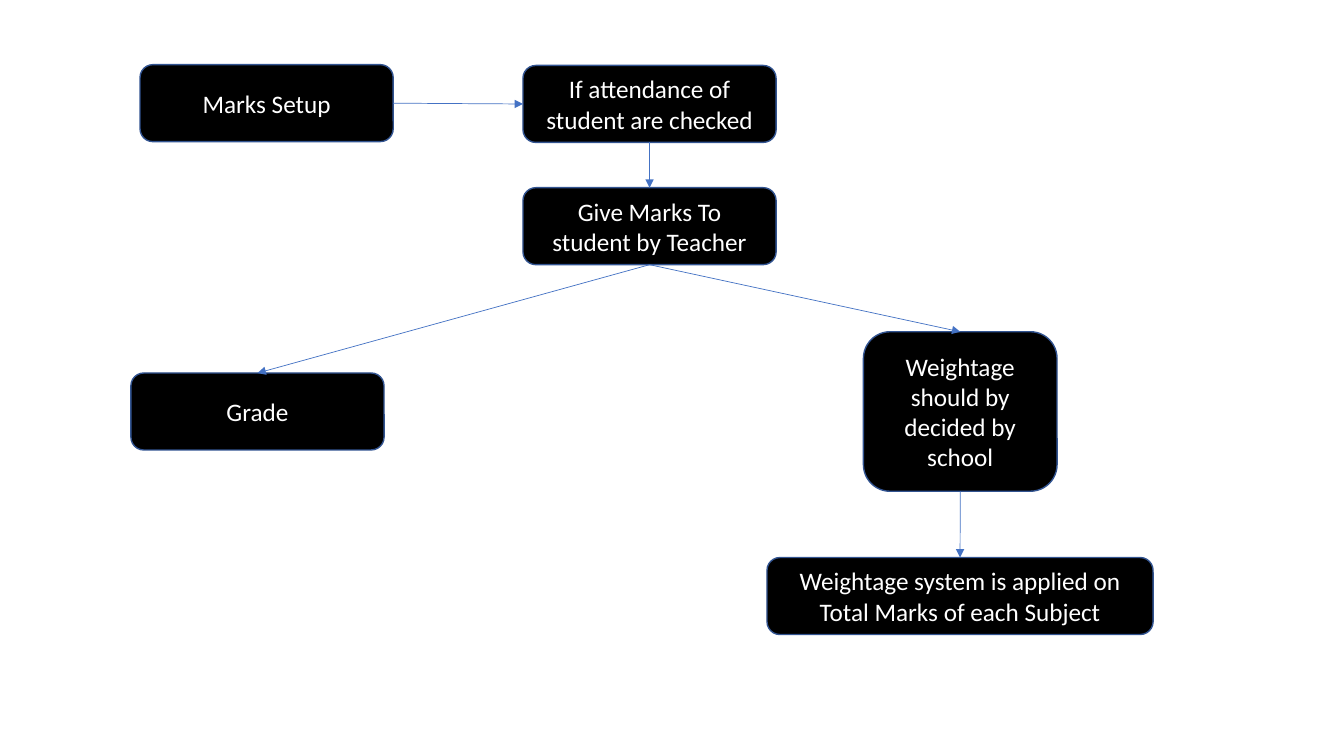
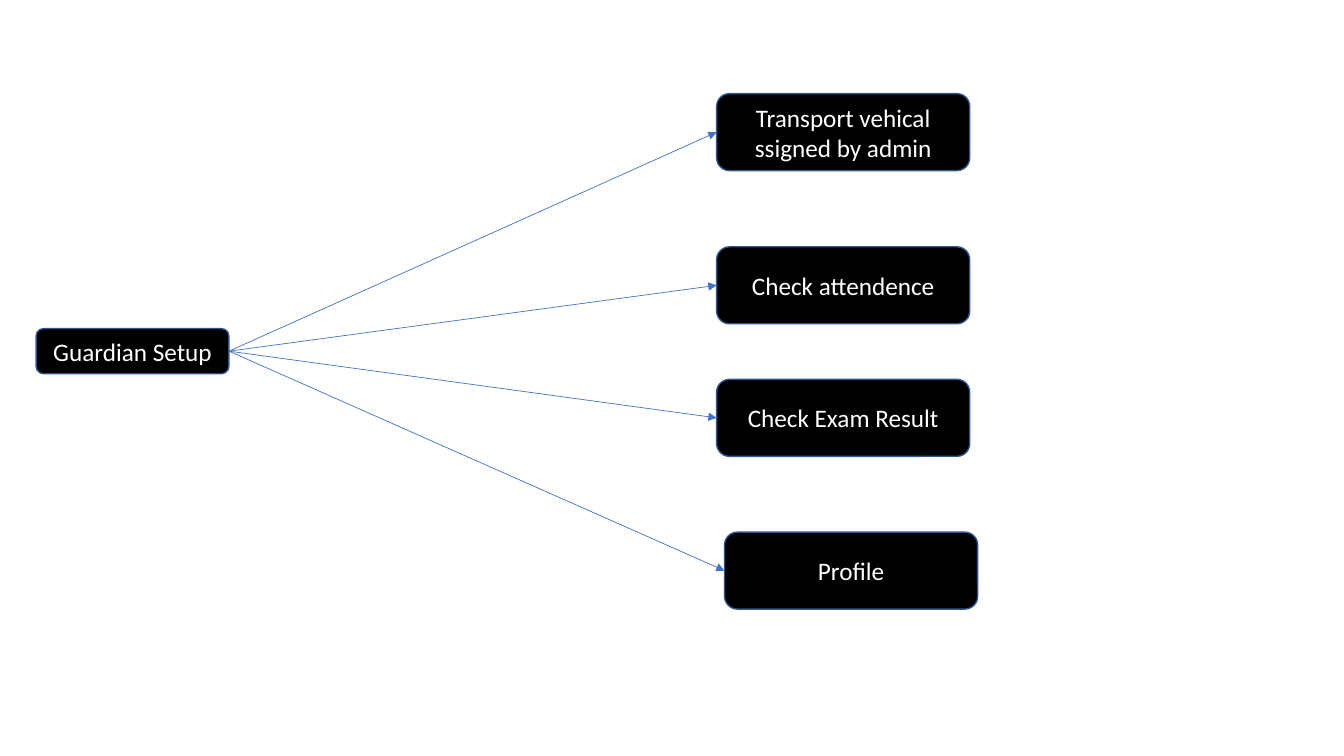
"""Build two flowchart slides on marks setup and guardian setup."""
from dataclasses import dataclass

from lxml import etree
from pptx import Presentation
from pptx.dml.color import RGBColor
from pptx.enum.shapes import MSO_CONNECTOR, MSO_SHAPE
from pptx.enum.text import MSO_ANCHOR, PP_ALIGN
from pptx.oxml.ns import qn
from pptx.shapes.autoshape import Shape
from pptx.slide import Slide
from pptx.util import Cm, Pt

ROUNDED = MSO_SHAPE.ROUNDED_RECTANGLE
STRAIGHT = MSO_CONNECTOR.STRAIGHT
CENTER = PP_ALIGN.CENTER
MIDDLE = MSO_ANCHOR.MIDDLE
TOP, LEFT, BOTTOM, RIGHT = range(4)
BLANK_LAYOUT = 6


@dataclass(frozen=True)
class Theme:
    box_fill: RGBColor = RGBColor(0x00, 0x00, 0x00)
    box_line: RGBColor = RGBColor(0x32, 0x54, 0x91)
    text: RGBColor = RGBColor(0xFF, 0xFF, 0xFF)
    arrow: RGBColor = RGBColor(0x44, 0x72, 0xC4)
    font: str = "Calibri"
    text_size: Pt = Pt(18)
    box_line_width: Pt = Pt(1)
    arrow_width: Pt = Pt(0.5)


THEME = Theme()


@dataclass(frozen=True)
class Box:
    text: str
    left: float
    top: float
    width: float = 6.38
    height: float = 1.94


@dataclass(frozen=True)
class Arrow:
    source: str
    source_side: int
    target: str
    target_side: int


@dataclass(frozen=True)
class Flowchart:
    boxes: dict[str, Box]
    arrows: list[Arrow]


MARKS = Flowchart(
    boxes={
        "setup": Box("Marks Setup", 3.53, 1.63),
        "attendance": Box("If attendance of student are checked", 13.18, 1.65),
        "grade": Box("Grade", 3.3, 9.4),
        "marks": Box("Give Marks To student by Teacher", 13.18, 4.73),
        "total": Box("Weightage system is applied on Total Marks of each Subject",
                     19.33, 14.05, width=9.73),
        "weightage": Box("Weightage should by decided by\nschool",
                         21.76, 8.36, width=4.88, height=4.02),
    },
    arrows=[
        Arrow("setup", RIGHT, "attendance", LEFT),
        Arrow("attendance", BOTTOM, "marks", TOP),
        Arrow("marks", BOTTOM, "grade", TOP),
        Arrow("marks", BOTTOM, "weightage", TOP),
        Arrow("weightage", BOTTOM, "total", TOP),
    ],
)

GUARDIAN_TASKS = {
    "transport": Box("Transport vehical ssigned by admin", 18.06, 2.36),
    "attendance": Box("Check attendence", 18.06, 6.22),
    "result": Box("Check Exam Result", 18.06, 9.56),
    "profile": Box("Profile", 18.26, 13.41),
}
GUARDIAN = Flowchart(
    boxes={
        "setup": Box("Guardian Setup", 0.91, 8.28, width=4.86, height=1.14),
        **GUARDIAN_TASKS,
    },
    arrows=[Arrow("setup", RIGHT, task, LEFT) for task in GUARDIAN_TASKS],
)


def add_box(slide: Slide, box: Box) -> Shape:
    """Draw one rounded box with centred text."""
    shape = slide.shapes.add_shape(
        ROUNDED, Cm(box.left), Cm(box.top), Cm(box.width), Cm(box.height))
    shape.shadow.inherit = False
    shape.fill.solid()
    shape.fill.fore_color.rgb = THEME.box_fill
    shape.line.color.rgb = THEME.box_line
    shape.line.width = THEME.box_line_width
    text_frame = shape.text_frame
    text_frame.word_wrap = True
    text_frame.vertical_anchor = MIDDLE
    text_frame.text = box.text
    for paragraph in text_frame.paragraphs:
        paragraph.alignment = CENTER
        for run in paragraph.runs:
            run.font.name = THEME.font
            run.font.size = THEME.text_size
            run.font.color.rgb = THEME.text
    return shape


def add_arrow(slide: Slide, arrow: Arrow, shapes: dict[str, Shape]) -> None:
    """Join two boxes with a straight arrow."""
    connector = slide.shapes.add_connector(STRAIGHT, 0, 0, 0, 0)
    connector.begin_connect(shapes[arrow.source], arrow.source_side)
    connector.end_connect(shapes[arrow.target], arrow.target_side)
    connector.line.color.rgb = THEME.arrow
    connector.line.width = THEME.arrow_width
    properties = connector.element.spPr
    etree.SubElement(properties.find(qn("a:ln")), qn("a:tailEnd"), type="triangle")
    etree.SubElement(properties, qn("a:effectLst"))


def add_flowchart(slide: Slide, flowchart: Flowchart) -> None:
    """Draw all boxes, then the arrows between them."""
    shapes = {key: add_box(slide, box) for key, box in flowchart.boxes.items()}
    for arrow in flowchart.arrows:
        add_arrow(slide, arrow, shapes)


def main() -> None:
    """Create and save the presentation."""
    presentation = Presentation()
    presentation.slide_width = Cm(33.87)
    presentation.slide_height = Cm(19.05)
    layout = presentation.slide_layouts[BLANK_LAYOUT]
    for flowchart in (MARKS, GUARDIAN):
        add_flowchart(presentation.slides.add_slide(layout), flowchart)
    presentation.save("out.pptx")


if __name__ == "__main__":
    main()
